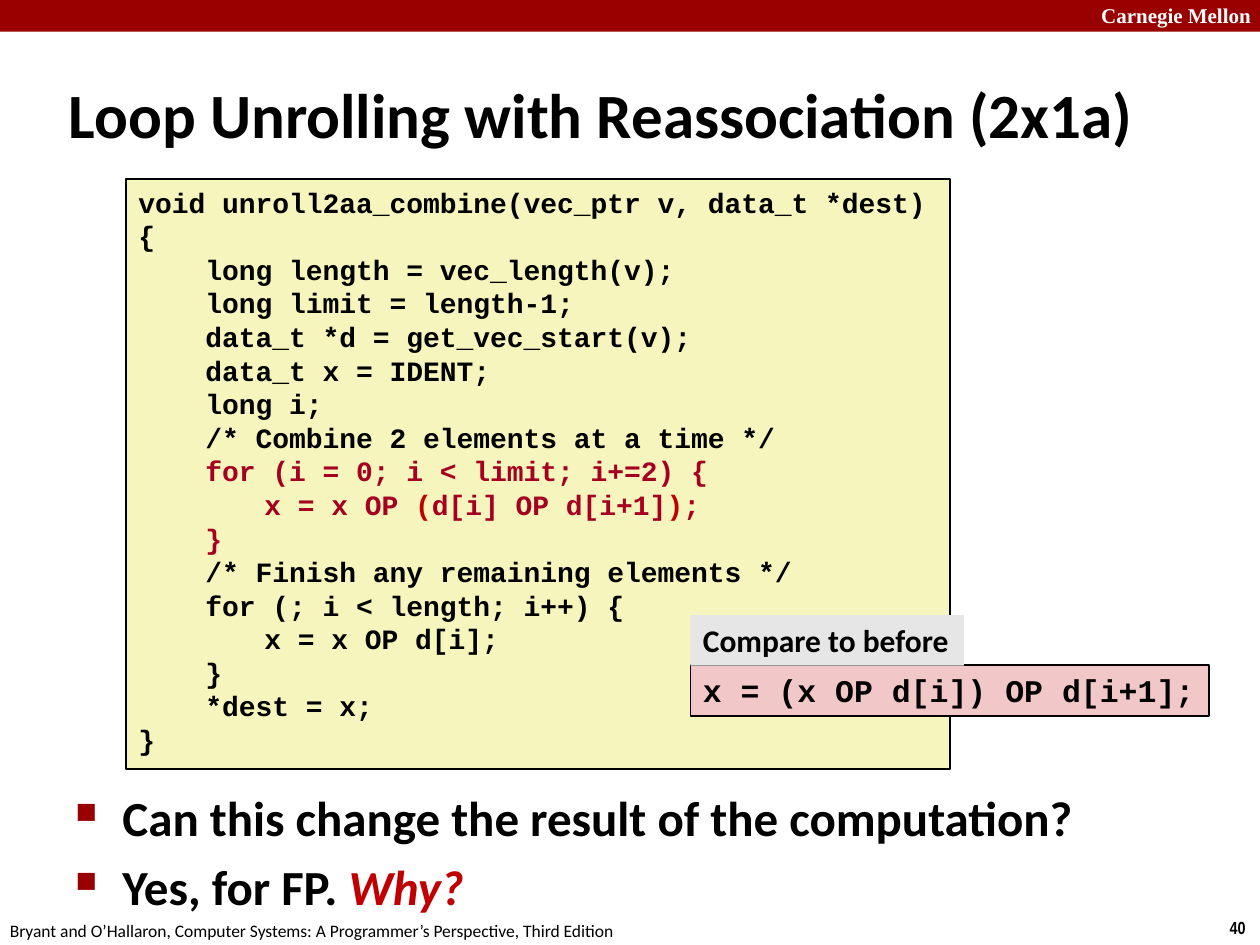
from lxml.etree import SubElement
from pptx import Presentation
from pptx.dml.color import RGBColor
from pptx.enum.shapes import MSO_SHAPE
from pptx.enum.text import MSO_ANCHOR, PP_ALIGN
from pptx.oxml.ns import qn
from pptx.util import Cm, Pt

BLACK, WHITE, RED, CRIMSON, ACCENT = "000000", "FFFFFF", "990000", "A50021", "C00000"

CODE = [
    "void unroll2aa_combine(vec_ptr v, data_t *dest)",
    "{",
    "    long length = vec_length(v);",
    "    long limit = length-1;",
    "    data_t *d = get_vec_start(v);",
    "    data_t x = IDENT;",
    "    long i;",
    "    /* Combine 2 elements at a time */",
    [("    for (i = 0; i < limit; i+=2) {", CRIMSON)],
    [("\tx = x OP ", CRIMSON), ("(", ACCENT), ("d[i] OP d[i+1]", CRIMSON),
     (")", ACCENT), (";", CRIMSON)],
    [("    }", CRIMSON)],
    "    /* Finish any remaining elements */",
    "    for (; i < length; i++) {",
    "\tx = x OP d[i];",
    "    }",
    "    *dest = x;",
    "}",
]


def color(value):
    return RGBColor.from_string(value)


class Slide:
    """Holds the current page and the shared style of its elements."""

    heading, mono = "Calibri", "Courier New"

    def __init__(self, deck):
        self.page = deck.slides.add_slide(deck.slide_layouts[6])

    def panel(self, place, fill, line=None):
        box = self.page.shapes.add_shape(MSO_SHAPE.RECTANGLE, *map(Cm, place))
        box.shadow.inherit = False
        box.fill.solid()
        box.fill.fore_color.rgb = color(fill)
        if line:
            box.line.color.rgb = color(line)
            box.line.width = Pt(1)
        else:
            box.line.fill.background()
        return box

    def textbox(self, place):
        return self.page.shapes.add_textbox(*map(Cm, place))

    def set_text(self, box, lines, size, font=heading, bold=True, ink=BLACK,
                 wrap=True, anchor=MSO_ANCHOR.TOP, tabs=(), bullet=None):
        frame = box.text_frame
        frame.word_wrap = wrap
        frame.vertical_anchor = anchor
        for index, line in enumerate(lines):
            para = frame.paragraphs[0] if index == 0 else frame.add_paragraph()
            para.alignment = PP_ALIGN.LEFT
            if bullet:
                self.bullet(para, bullet)
                if index:
                    para.space_before = Pt(size * 0.2)
            if tabs:
                self.tabs(para, tabs)
            para.font.name, para.font.size, para.font.bold = font, Pt(size), bold
            spans = [(line, ink)] if isinstance(line, str) else line
            inks = {span[1] for span in spans}
            if len(inks) == 1:
                para.font.color.rgb = color(inks.pop())
            for text, shade, *italic in spans:
                span = para.add_run()
                span.text = text
                if len(spans) > 1:
                    span.font.color.rgb = color(shade)
                if italic:
                    span.font.italic = True

    def bullet(self, para, shade):
        properties = para._p.get_or_add_pPr()
        properties.set("marL", str(Cm(0.95)))
        properties.set("indent", str(-Cm(0.95)))
        tint = SubElement(properties, qn("a:buClr"))
        SubElement(tint, qn("a:srgbClr"), val=shade)
        SubElement(properties, qn("a:buSzPct"), val="60000")
        SubElement(properties, qn("a:buChar"), char="■")

    def tabs(self, para, stops):
        stop_list = SubElement(para._p.get_or_add_pPr(), qn("a:tabLst"))
        for stop in stops:
            SubElement(stop_list, qn("a:tab"), pos=str(Cm(stop)), algn="l")


def main():
    deck = Presentation()
    deck.slide_width, deck.slide_height = Cm(25.4), Cm(19.05)
    slide = Slide(deck)

    slide.panel((0, 0, 25.4, 0.64), RED)
    slide.set_text(slide.textbox((21.95, -0.08, 3.63, 0.76)), ["Carnegie Mellon"], 12,
                   font="Times New Roman", ink=WHITE)
    slide.set_text(slide.textbox((24.54, 18.36, 0.86, 0.69)), ["40"], 10,
                   font="Arial Narrow", wrap=False)
    slide.set_text(slide.textbox((-0.05, 18.42, 12.9, 0.69)),
                   ["Bryant and O’Hallaron, Computer Systems: "
                    "A Programmer’s Perspective, Third Edition"], 10, bold=False)

    slide.set_text(slide.textbox((1.14, 1.22, 22.35, 2.11)),
                   ["Loop Unrolling with Reassociation (2x1a)"], 36,
                   anchor=MSO_ANCHOR.MIDDLE)
    slide.set_text(slide.textbox((1.27, 15.75, 22.05, 1.6)),
                   ["Can this change the result of the computation?",
                    [("Yes, for FP. ", BLACK), ("Why?", ACCENT, True)]], 28, bullet=RED)

    slide.set_text(slide.panel((2.54, 3.61, 16.61, 11.89), "F6F5BD", BLACK), CODE, 16,
                   font=slide.mono, tabs=(2.54, 6.35))
    slide.set_text(slide.panel((13.92, 13.41, 10.46, 1.02), "F1C7C7", BLACK),
                   ["x = (x OP d[i]) OP d[i+1];"], 18, font=slide.mono, wrap=False)
    slide.set_text(slide.panel((13.92, 12.4, 5.51, 1.02), "E6E6E6"),
                   ["Compare to before"], 18, wrap=False)

    deck.save("out.pptx")


if __name__ == "__main__":
    main()
